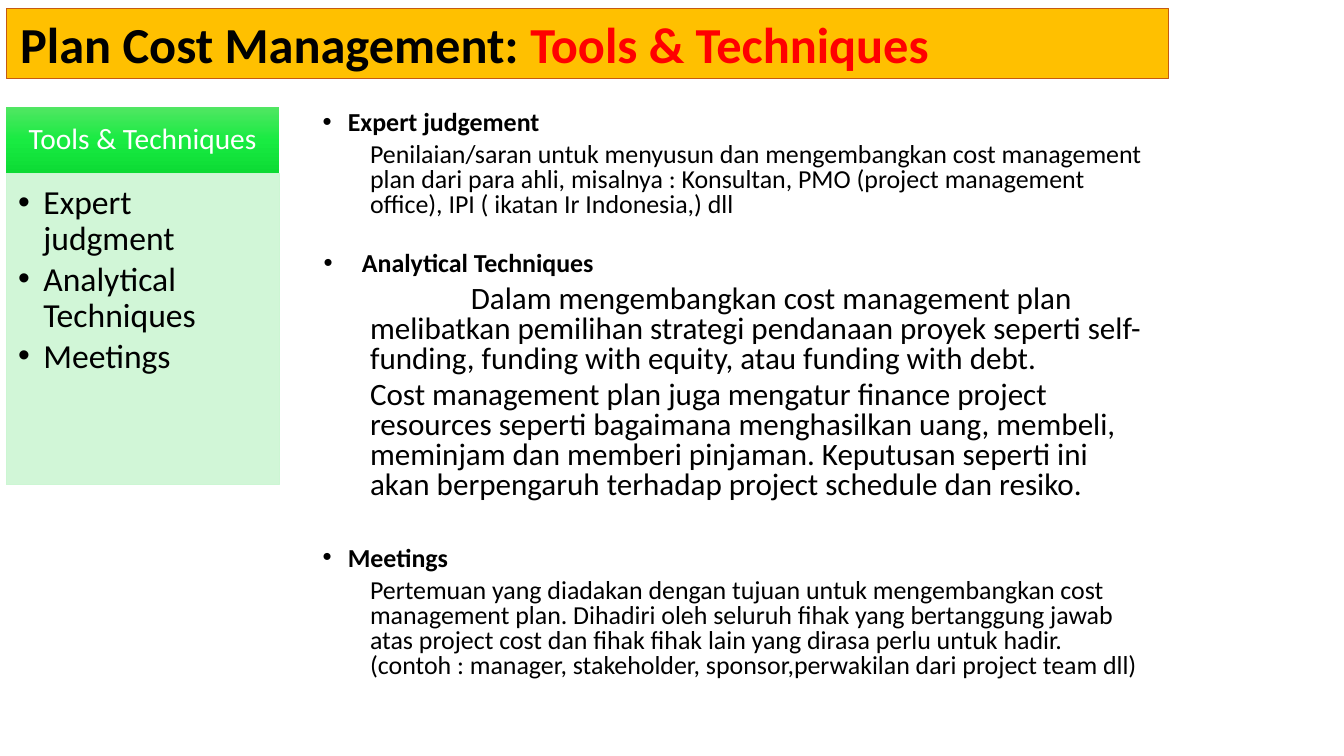
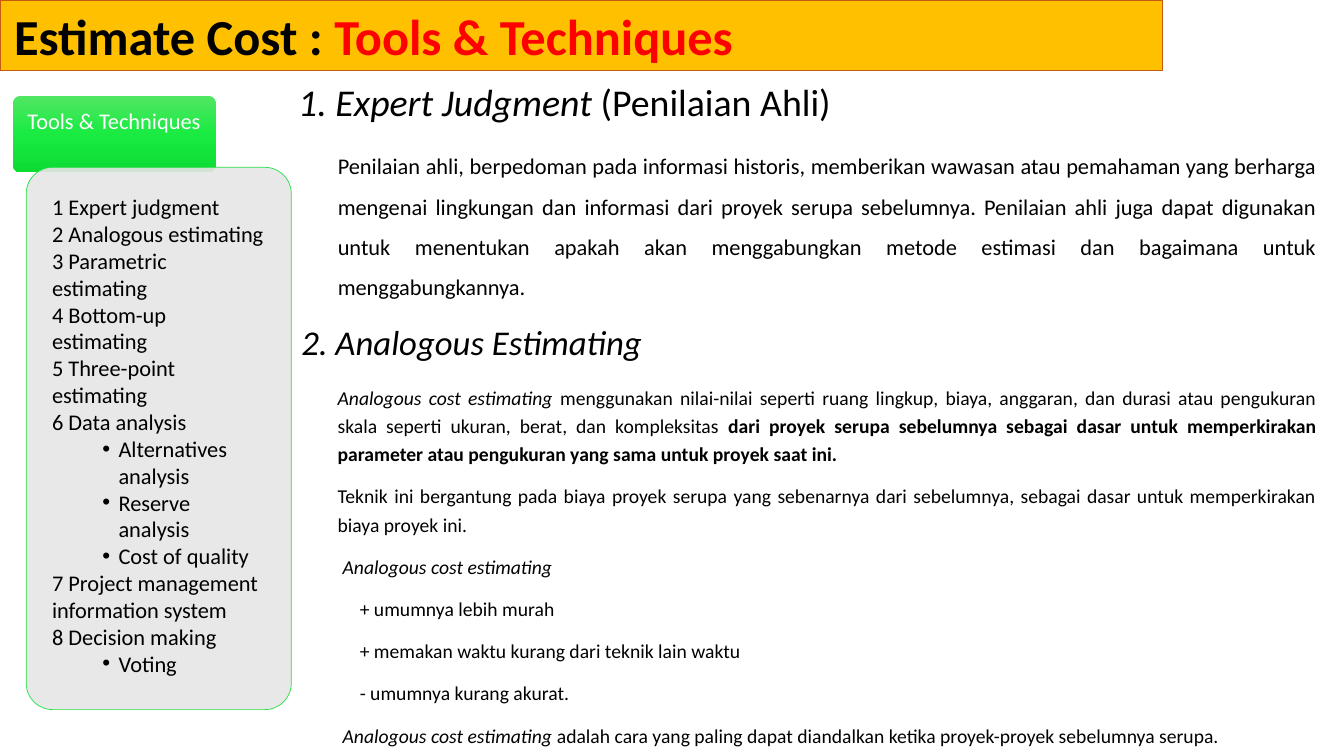
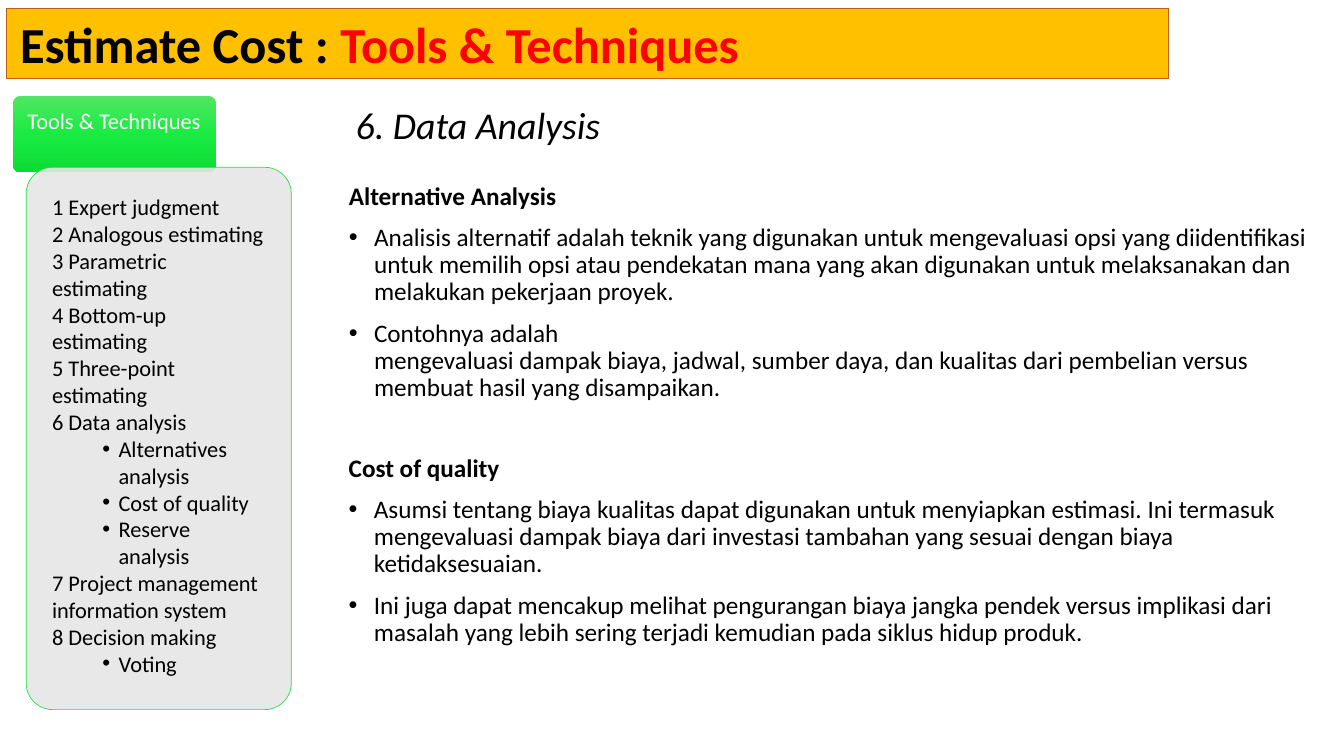
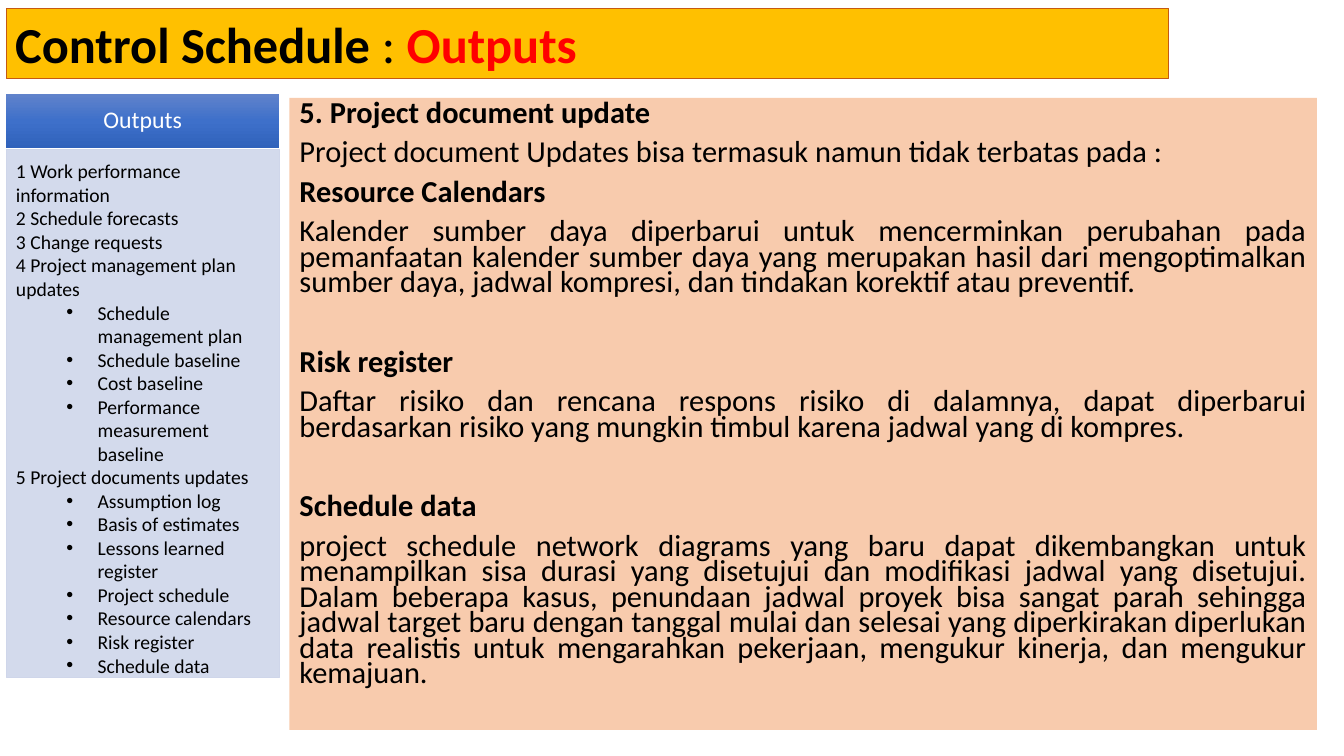
from copy import deepcopy

from lxml import etree
from pptx import Presentation
from pptx.dml.color import RGBColor
from pptx.enum.shapes import MSO_SHAPE
from pptx.enum.text import MSO_ANCHOR, MSO_AUTO_SIZE, PP_ALIGN
from pptx.oxml.ns import qn
from pptx.util import Inches, Pt

RECT, ROUND = MSO_SHAPE.RECTANGLE, MSO_SHAPE.ROUNDED_RECTANGLE
TOP, MIDDLE = MSO_ANCHOR.TOP, MSO_ANCHOR.MIDDLE
LEFT, CENTER, FULL = PP_ALIGN.LEFT, PP_ALIGN.CENTER, PP_ALIGN.JUSTIFY
NO_FIT = MSO_AUTO_SIZE.NONE

FONT = "Calibri"
BLACK = RGBColor(0, 0, 0)
WHITE = RGBColor(255, 255, 255)
RED = RGBColor(255, 0, 0)
GOLD = RGBColor(0xFF, 0xC0, 0x00)
RUST = RGBColor(0xC5, 0x5A, 0x11)
PEACH = RGBColor(0xF8, 0xCB, 0xAD)
MINT = RGBColor(0xCC, 0xF6, 0xD3)
GREY = RGBColor(0xE7, 0xE6, 0xE6)
GREEN = RGBColor(0x23, 0xE1, 0x48)
PALE = RGBColor(0xCF, 0xD6, 0xEA)
GREENS = (RGBColor(0x51, 0xE6, 0x63), RGBColor(0x19, 0xEB, 0x42),
          RGBColor(0x0C, 0xDB, 0x34))
BLUES = (RGBColor(0x61, 0x83, 0xCB), RGBColor(0x3E, 0x70, 0xCA),
         RGBColor(0x30, 0x62, 0xBB))

INSET = (0.1, 0.05, 0.1, 0.05)
TOOLS = "Tools & Techniques"
BULLET = dict(left=0.25, first=-0.25, bullet=True)


def write(frame, text, size=18, color=BLACK, bold=False, italic=False,
          align=LEFT, left=0, first=0, bullet=False, line=1.0, before=0,
          after=0, level=0):
    para = frame.paragraphs[-1]
    if para.runs:
        para = frame.add_paragraph()
    else:
        before = 0
    props = para._p.get_or_add_pPr()
    props.set("marL", str(Inches(left)))
    props.set("indent", str(Inches(first)))
    if bullet:
        etree.SubElement(props, qn("a:buFont"), typeface="Arial")
        etree.SubElement(props, qn("a:buChar"), char="•")
    else:
        etree.SubElement(props, qn("a:buNone"))
    para.level = level
    para.alignment = align
    para.line_spacing = line
    para.space_before, para.space_after = Pt(before), Pt(after)
    parts = [(text, {})] if isinstance(text, str) else text
    for words, own in parts:
        for num, piece in enumerate(words.split("\n")):
            if num:
                para.add_line_break()
            run = para.add_run()
            run.text = piece
            font = run.font
            font.name, font.size = FONT, Pt(size)
            font.bold = own.get("bold", bold)
            font.italic = own.get("italic", italic)
            font.color.rgb = own.get("color", color)


def set_frame(shape, inset=INSET, anchor=TOP):
    frame = shape.text_frame
    frame.word_wrap = True
    frame.auto_size = NO_FIT
    frame.vertical_anchor = anchor
    (frame.margin_left, frame.margin_top,
     frame.margin_right, frame.margin_bottom) = map(Inches, inset)
    return frame


def place(shape, box):
    shape.left, shape.top, shape.width, shape.height = map(Inches, box)


def text_box(slide, box, anchor=TOP):
    return set_frame(slide.shapes.add_textbox(*map(Inches, box)), anchor=anchor)


def body(slide, box):
    shape = slide.placeholders[1]
    place(shape, box)
    return set_frame(shape)


def paint(shape, fill, edge, width):
    shape.fill.solid()
    shape.fill.fore_color.rgb = fill
    shape.line.color.rgb = edge
    shape.line.width = Pt(width)


def add_slide(deck, topic, part, left=0.06, top=0.08, inset=0.14):
    slide = deck.slides.add_slide(deck.slide_layouts[1])
    band = slide.shapes.title
    place(band, (left, top, 11.53, 0.7))
    paint(band, GOLD, RUST, 0.75)
    frame = set_frame(band, (inset, 0.05, 0.09, 0.05), MIDDLE)
    write(frame, topic + [(part, {"color": RED})], size=36, bold=True)
    return slide


def block(slide, kind, box):
    shape = slide.shapes.add_shape(kind, *map(Inches, box))
    shape.shadow.inherit = False
    if kind == ROUND:
        shape.adjustments[0] = 0.1
    return shape


def header(slide, kind, box, hues, text, size, inset, anchor=MIDDLE,
           align=CENTER):
    shape = block(slide, kind, box)
    shape.line.fill.background()
    shape.fill.gradient()
    stops = shape._element.spPr.find(".//" + qn("a:gsLst"))
    stops.append(deepcopy(stops[-1]))
    for num, (stop, hue) in enumerate(zip(shape.fill.gradient_stops, hues)):
        stop.color.rgb = hue
        stop.position = num / 2
    shape.fill.gradient_angle = 270
    write(set_frame(shape, inset, anchor), text, size=size, color=WHITE,
          align=align, line=0.9)


def panel(slide, kind, box, fill, edge, inset):
    shape = block(slide, kind, box)
    paint(shape, fill, edge, 0.5)
    tint = shape._element.spPr.find(qn("a:solidFill"))[0]
    etree.SubElement(tint, qn("a:alpha"), val="90000")
    return set_frame(shape, inset)


def outline(frame, items, size, **sub):
    for item in items:
        if isinstance(item, str):
            write(frame, item, size=size)
        else:
            for text in item:
                write(frame, text, size=size, bullet=True, level=1, **sub)


def tool_list(slide, checks):
    header(slide, ROUND, (0.13, 0.95, 2.01, 0.76), GREENS, TOOLS, 16,
           (0.12, 0.12, 0.12, 0.32), TOP, LEFT)
    frame = panel(slide, ROUND, (0.26, 1.66, 2.63, 5.38), GREY, GREEN,
                  (0.18,) * 4)
    outline(frame, [
        "1 Expert judgment", "2 Analogous estimating",
        "3 Parametric estimating", "4 Bottom-up estimating",
        "5 Three-point estimating", "6 Data analysis",
        ["Alternatives analysis"] + checks,
        "7 Project management\ninformation system", "8 Decision making",
        ["Voting"]], 16, left=0.66, first=-0.16)


def topic(frame, title, points):
    write(frame, title, bold=True, line=1.5)
    for point in points:
        write(frame, point, line=0.9, before=10, **BULLET)


def plan_cost(deck):
    slide = add_slide(deck, [("Plan Cost Management: ", {})], TOOLS)
    header(slide, RECT, (0.06, 1.06, 2.71, 0.66), GREENS, TOOLS, 21,
           (0.16, 0.09, 0.16, 0.09))
    frame = panel(slide, RECT, (0.06, 1.72, 2.71, 3.09), MINT, MINT,
                  (0.12, 0.12, 0.16, 0.18))
    outline(frame, [["Expert judgment", "Analytical Techniques", "Meetings"]],
            24, left=0.25, first=-0.25, line=0.9, after=3)

    frame = body(slide, (3.1, 1.06, 8.33, 6.26))
    head = dict(size=18.5, bold=True, bullet=True)
    note = dict(left=0.47, line=0.8, before=5, level=1)
    write(frame, "Expert judgement", left=0.25, first=-0.25, line=0.8, **head)
    write(frame, "Penilaian/saran untuk menyusun dan mengembangkan cost "
          "management plan dari para ahli, misalnya : Konsultan, PMO (project "
          "management office), IPI ( ikatan Ir Indonesia,) dll",
          size=18.5, **note)
    write(frame, "Analytical Techniques", left=0.39, first=-0.38, line=0.9,
          before=23, **head)
    write(frame, "Dalam mengembangkan cost management plan melibatkan "
          "pemilihan strategi pendanaan proyek seperti self-funding, funding "
          "with equity, atau funding with debt.", size=22.2, first=1, **note)
    write(frame, "Cost management plan juga mengatur finance project "
          "resources seperti bagaimana menghasilkan uang, membeli, meminjam "
          "dan memberi pinjaman. Keputusan seperti ini akan berpengaruh "
          "terhadap project schedule dan resiko.", size=22.2, **note)
    write(frame, "Meetings", left=0.25, first=-0.25, line=0.8, before=33,
          **head)
    write(frame, "Pertemuan yang diadakan dengan tujuan untuk mengembangkan "
          "cost management plan. Dihadiri oleh seluruh fihak yang bertanggung "
          "jawab atas project cost dan fihak fihak lain yang dirasa perlu "
          "untuk hadir. (contoh : manager, stakeholder, sponsor,perwakilan "
          "dari project team dll)", size=18.5, **note)


def expert(deck):
    slide = add_slide(deck, [("Estimate Cost : ", {})], TOOLS, 0, 0)
    write(text_box(slide, (2.86, 0.79, 8.33, 0.48), MIDDLE),
          [("1. Expert Judgment ", {"italic": True}), ("(Penilaian Ahli)", {})],
          size=27, line=0.9)
    write(body(slide, (3.25, 1.33, 9.91, 1.72)),
          "Penilaian ahli, berpedoman pada informasi historis, memberikan "
          "wawasan atau pemahaman yang berharga mengenai lingkungan dan "
          "informasi dari proyek serupa sebelumnya. Penilaian ahli juga dapat "
          "digunakan untuk menentukan apakah akan menggabungkan metode "
          "estimasi dan bagaimana untuk menggabungkannya.",
          size=16, align=FULL, line=1.5)
    tool_list(slide, ["Reserve analysis", "Cost of quality"])

    write(text_box(slide, (2.89, 3.13, 8.33, 0.52), MIDDLE),
          "2. Analogous Estimating", size=24.8, italic=True)
    frame = text_box(slide, (3.25, 3.73, 9.91, 3.75))
    style = dict(size=14, align=FULL, line=1.2, before=10)
    name = ("Analogous cost estimating ", {"italic": True})
    write(frame, [
        name,
        ("menggunakan nilai-nilai seperti ruang lingkup, biaya, anggaran, dan "
         "durasi atau pengukuran skala seperti ukuran, berat, dan "
         "kompleksitas ", {}),
        ("dari proyek serupa sebelumnya sebagai dasar untuk memperkirakan "
         "parameter atau pengukuran yang sama untuk proyek saat ini.",
         {"bold": True})], **style)
    write(frame, "Teknik ini bergantung pada biaya proyek serupa yang "
          "sebenarnya dari sebelumnya, sebagai dasar untuk memperkirakan "
          "biaya proyek ini.", **style)
    write(frame, "Analogous cost estimating", italic=True, left=0.05, **style)
    for point in ("+ umumnya lebih murah",
                  "+ memakan waktu kurang dari teknik lain waktu",
                  "- umumnya kurang akurat."):
        write(frame, point, left=0.22, **style)
    write(frame, [name, ("adalah cara yang paling dapat diandalkan ketika "
                         "proyek-proyek sebelumnya serupa.", {})],
          left=0.05, **style)


def analysis(deck):
    slide = add_slide(deck, [("Estimate Cost : ", {})], TOOLS)
    write(text_box(slide, (3.43, 0.87, 8.33, 0.64), MIDDLE),
          "6. Data Analysis", size=27, italic=True, line=1.2)
    tool_list(slide, ["Cost of quality", "Reserve analysis"])
    topic(body(slide, (3.36, 1.59, 9.79, 2.54)), "Alternative Analysis", [
        "Analisis alternatif adalah teknik yang digunakan untuk mengevaluasi "
        "opsi yang diidentifikasi untuk memilih opsi atau pendekatan mana "
        "yang akan digunakan untuk melaksanakan dan melakukan pekerjaan "
        "proyek.",
        "Contohnya adalah\nmengevaluasi dampak biaya, jadwal, sumber daya, "
        "dan kualitas dari pembelian versus membuat hasil yang disampaikan."])
    topic(text_box(slide, (3.36, 4.29, 9.79, 2.54)), "Cost of quality", [
        "Asumsi tentang biaya kualitas dapat digunakan untuk menyiapkan "
        "estimasi. Ini termasuk mengevaluasi dampak biaya dari investasi "
        "tambahan yang sesuai dengan biaya ketidaksesuaian.",
        "Ini juga dapat mencakup melihat pengurangan biaya jangka pendek "
        "versus implikasi dari masalah yang lebih sering terjadi kemudian "
        "pada siklus hidup produk."])


def outputs(deck):
    slide = add_slide(deck, [("Control Schedule ", {}), (": ", {"bold": False})],
                      "Outputs", inset=0.09)
    frame = body(slide, (2.87, 0.97, 10.19, 6.27))
    fill = slide.placeholders[1].fill
    fill.solid()
    fill.fore_color.rgb = PEACH
    parts = [
        ("5. Project document update",
         "Project document Updates bisa termasuk namun tidak terbatas pada :",
         10),
        ("Resource Calendars",
         "Kalender sumber daya diperbarui untuk mencerminkan perubahan pada "
         "pemanfaatan kalender sumber daya yang merupakan hasil dari "
         "mengoptimalkan sumber daya, jadwal kompresi, dan tindakan korektif "
         "atau preventif.", 10),
        ("Risk register",
         "Daftar risiko dan rencana respons risiko di dalamnya, dapat "
         "diperbarui berdasarkan risiko yang mungkin timbul karena jadwal "
         "yang di kompres.", 38.5),
        ("Schedule data",
         "project schedule network diagrams yang baru dapat dikembangkan "
         "untuk menampilkan sisa durasi yang disetujui dan modifikasi jadwal "
         "yang disetujui. Dalam beberapa kasus, penundaan jadwal proyek bisa "
         "sangat parah sehingga jadwal target baru dengan tanggal mulai dan "
         "selesai yang diperkirakan diperlukan data realistis untuk "
         "mengarahkan pekerjaan, mengukur kinerja, dan mengukur kemajuan.",
         38.5)]
    style = dict(size=21.7, align=FULL, line=0.7)
    for title, text, gap in parts:
        write(frame, title, bold=True, before=gap, **style)
        write(frame, text, before=10, **style)

    header(slide, RECT, (0.06, 0.93, 2.71, 0.54), BLUES, "Outputs", 17,
           (0.13, 0.08, 0.13, 0.08))
    frame = panel(slide, RECT, (0.06, 1.48, 2.71, 5.24), PALE, PALE,
                  (0.1, 0.1, 0.13, 0.15))
    outline(frame, [
        "1 Work performance\ninformation", "2 Schedule forecasts",
        "3 Change requests", "4 Project management plan\nupdates",
        ["Schedule management plan", "Schedule baseline", "Cost baseline",
         "Performance measurement baseline"],
        "5 Project documents updates",
        ["Assumption log", "Basis of estimates", "Lessons learned register",
         "Project schedule", "Resource calendars", "Risk register",
         "Schedule data"]], 14, left=0.81, first=-0.31)


def main():
    deck = Presentation()
    deck.slide_width, deck.slide_height = Inches(13.33), Inches(7.5)
    for build in (plan_cost, expert, analysis, outputs):
        build(deck)
    deck.save("out.pptx")


if __name__ == "__main__":
    main()
